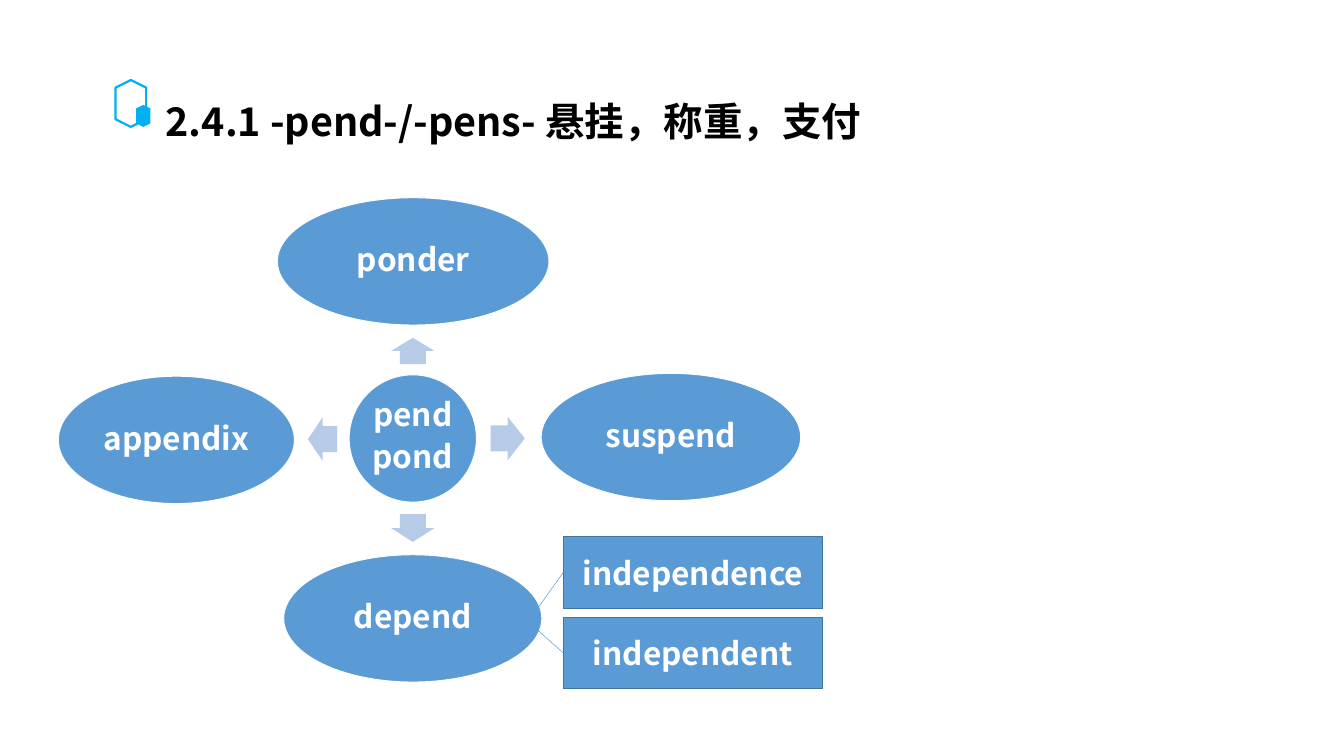
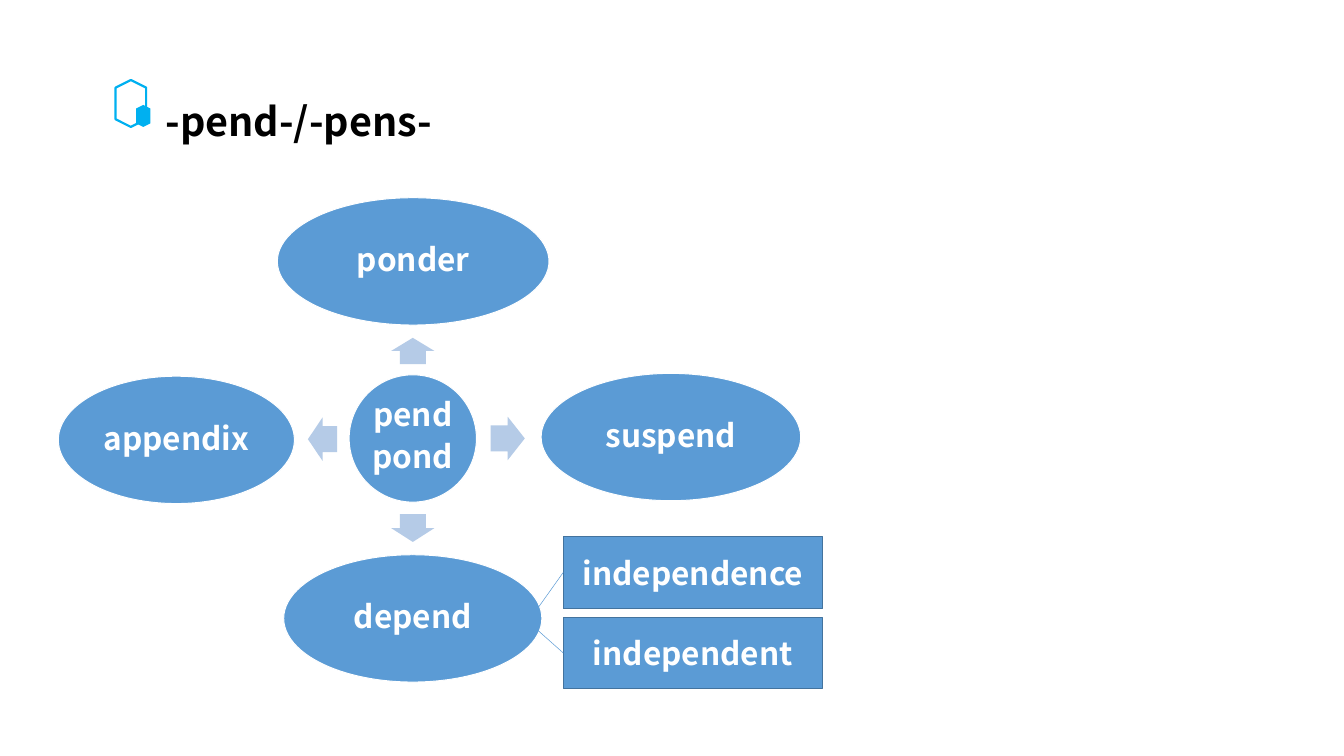
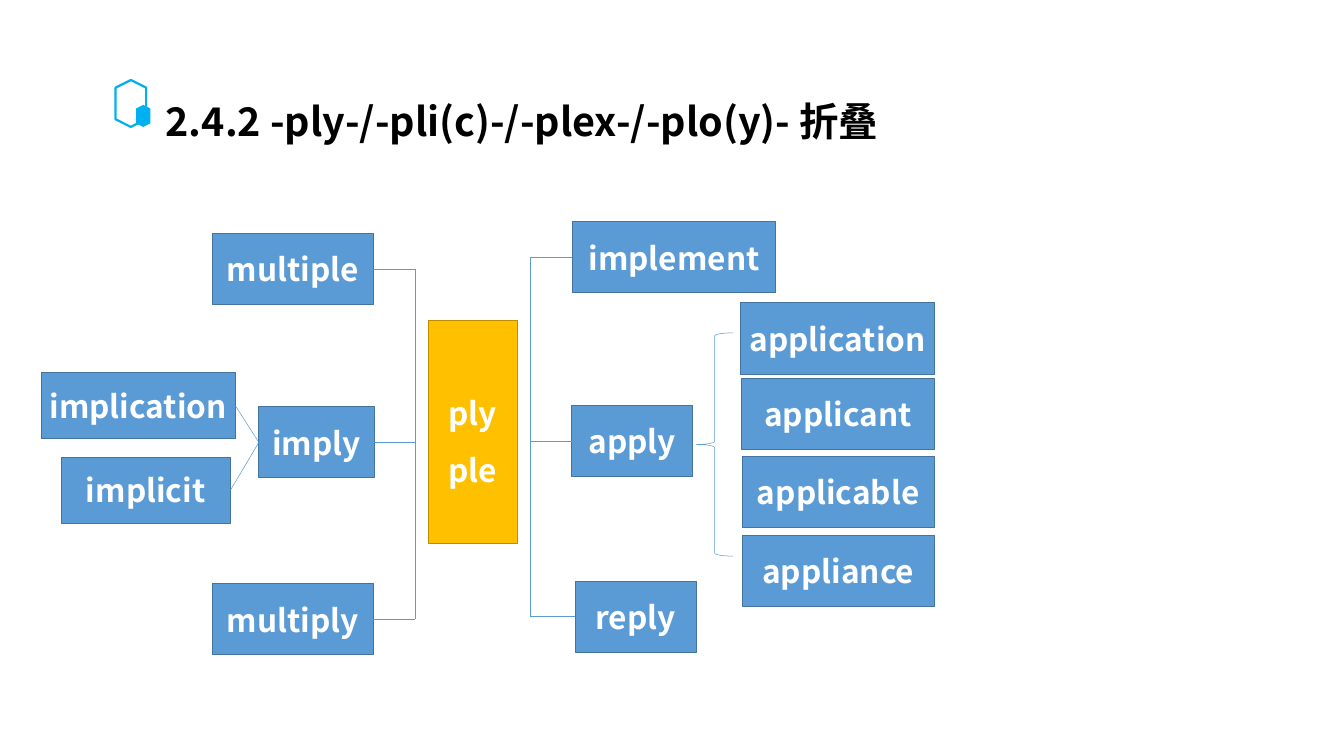
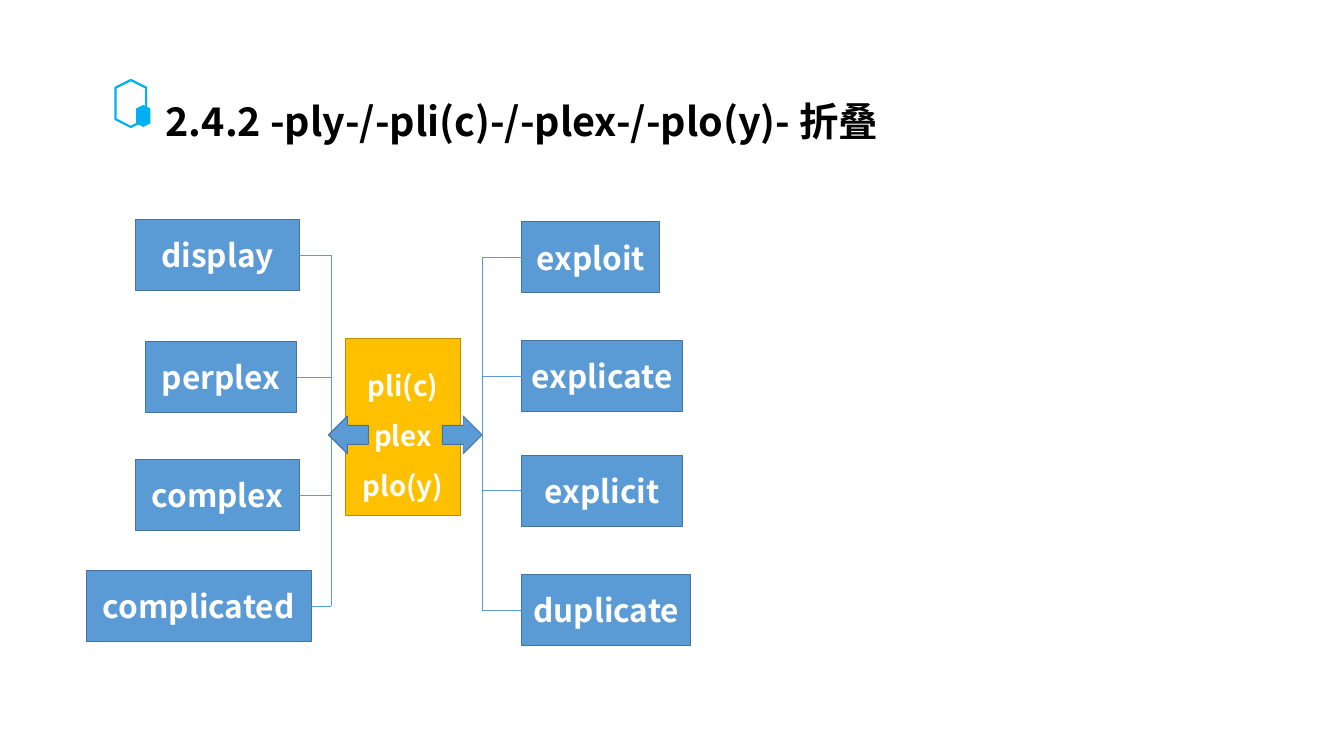
from dataclasses import dataclass

from lxml.etree import SubElement
from pptx import Presentation
from pptx.dml.color import RGBColor
from pptx.enum.shapes import MSO_CONNECTOR, MSO_SHAPE
from pptx.enum.text import MSO_ANCHOR, MSO_AUTO_SIZE, PP_ALIGN
from pptx.oxml.ns import qn
from pptx.util import Inches, Pt


@dataclass(frozen=True)
class Theme:
    font: str = "Noto Sans CJK SC"
    black: str = "000000"
    white: str = "FFFFFF"
    blue: str = "5B9BD5"
    blue_edge: str = "43739E"
    pale_blue: str = "B5CBE7"
    gold: str = "FFC000"
    gold_edge: str = "BD8E00"
    accent: str = "00B0F0"
    title_size: float = 40
    word_size: float = 32
    small_size: float = 28
    thin: float = 0.5
    edge: float = 1
    badge_line: float = 2.25


THEME = Theme()
LEFT, RIGHT = 1, 3

PEND_TITLES = ["2.4.1 -pend-/-pens- 悬挂，称重，支付", "-pend-/-pens-"]
PLY_TITLE = "2.4.2 -ply-/-pli(c)-/-plex-/-plo(y)- 折叠"

PEND_OVALS = [
    ("pend\npond", (4.91, 5.27, 1.79, 1.79), 0.8),
    ("ponder", (3.9, 2.78, 3.82, 1.79), 0.9),
    ("suspend", (7.61, 5.25, 3.65, 1.79), 0.9),
    ("depend", (3.99, 7.8, 3.63, 1.79), 0.9),
    ("appendix", (0.82, 5.29, 3.32, 1.79), 0.9),
]
PEND_ARROWS = [
    ((5.62, 4.63, 0.37, 0.61), 270),
    ((6.9, 5.86, 0.48, 0.61), 0),
    ((5.61, 7.12, 0.39, 0.61), 90),
    ((4.33, 5.87, 0.41, 0.61), 180),
]
PEND_BOXES = {
    "independence": (7.92, 7.54, 3.65, 1.02),
    "independent": (7.92, 8.68, 3.65, 1),
}
PEND_LINKS = [("independence", (7.45, 8.71)), ("independent", (7.38, 8.7))]

PLY_BOXES = {
    "multiple": (2.99, 3.28, 2.26, 1),
    "imply": (3.64, 5.72, 1.62, 1),
    "multiply": (2.99, 8.21, 2.26, 1),
    "implication": (0.58, 5.24, 2.73, 0.93),
    "implicit": (0.86, 6.43, 2.38, 0.93),
    "implement": (8.05, 3.12, 2.86, 1),
    "apply": (8.04, 5.7, 1.7, 1),
    "reply": (8.09, 8.17, 1.7, 1),
    "application": (10.42, 4.26, 2.72, 1),
    "applicant": (10.43, 5.32, 2.71, 1),
    "applicable": (10.44, 6.42, 2.7, 1),
    "appliance": (10.44, 7.53, 2.7, 1),
}
PLY_TRUNKS = [
    (5.84, RIGHT, ["multiple", "imply", "multiply"]),
    (7.46, LEFT, ["implement", "apply", "reply"]),
]
PLY_ROOT = ("ply\nple", (6.02, 4.5, 1.26, 3.14), THEME.word_size)
PLY_BRACE = (9.79, 4.68, 0.52, 3.14)

PLEX_BOXES = {
    "display": (1.91, 3.09, 2.3, 1),
    "perplex": (2.05, 4.8, 2.12, 1),
    "complex": (1.91, 6.46, 2.3, 1),
    "complicated": (1.21, 8.02, 3.17, 1),
    "exploit": (7.34, 3.12, 1.94, 1),
    "explicate": (7.34, 4.79, 2.26, 1),
    "explicit": (7.34, 6.4, 2.26, 1),
    "duplicate": (7.34, 8.08, 2.37, 1),
}
PLEX_TRUNKS = [
    (4.66, RIGHT, ["display", "perplex", "complex", "complicated"]),
    (6.78, LEFT, ["exploit", "explicate", "explicit", "duplicate"]),
]
PLEX_ROOT = ("pli(c)\nplex\nplo(y)", (4.86, 4.76, 1.61, 2.49), THEME.small_size)
PLEX_ARROWS = [
    (MSO_SHAPE.LEFT_ARROW, (4.62, 5.85, 0.56, 0.53)),
    (MSO_SHAPE.RIGHT_ARROW, (6.22, 5.85, 0.56, 0.53)),
]


def colour(code):
    return RGBColor.from_string(code)


def add_figure(slide, kind, place, fill=None, line=None, width=THEME.edge):
    figure = slide.shapes.add_shape(kind, *map(Inches, place))
    figure.shadow.inherit = False
    if fill:
        figure.fill.solid()
        figure.fill.fore_color.rgb = colour(fill)
    else:
        figure.fill.background()
    if line:
        figure.line.color.rgb = colour(line)
        figure.line.width = Pt(width)
    else:
        figure.line.fill.background()
    return figure


def write(figure, text, size, ink, align=PP_ALIGN.CENTER, spacing=1.0, after=0):
    frame = figure.text_frame
    frame.text = text
    for para in frame.paragraphs:
        para.alignment = align
        para.line_spacing = spacing
        para.space_after = Pt(after)
        for span in para.runs:
            span.font.size = Pt(size)
            span.font.bold = True
            span.font.color.rgb = colour(ink)
            span.font.name = THEME.font
            east_asian = SubElement(span.font._element, qn("a:ea"))
            east_asian.set("typeface", THEME.font)
    return frame


def add_line(slide, start, end):
    points = map(Inches, (*start, *end))
    line = slide.shapes.add_connector(MSO_CONNECTOR.STRAIGHT, *points)
    line.line.color.rgb = colour(THEME.blue)
    line.line.width = Pt(THEME.thin)
    SubElement(line._element.spPr, qn("a:effectLst"))
    return line


def add_boxes(slide, places):
    boxes = {}
    for word, place in places.items():
        box = add_figure(slide, MSO_SHAPE.RECTANGLE, place, THEME.blue, THEME.blue_edge)
        frame = write(box, word, THEME.word_size, THEME.white)
        frame.vertical_anchor = MSO_ANCHOR.MIDDLE
        boxes[word] = box
    return boxes


def side_middle(place, side):
    left, top, width, height = place
    return left + (width if side == RIGHT else 0), top + height / 2


def add_trunks(slide, trunks, places, boxes):
    for x, side, words in trunks:
        levels = [side_middle(places[word], side)[1] for word in words]
        add_line(slide, (x, levels[0]), (x, levels[-1]))
        for word, y in zip(words, levels):
            stub = add_line(slide, side_middle(places[word], side), (x, y))
            stub.begin_connect(boxes[word], side)


def add_root(slide, text, place, size):
    root = add_figure(slide, MSO_SHAPE.RECTANGLE, place, THEME.gold, THEME.gold_edge)
    frame = write(root, text, size, THEME.white, spacing=1.5)
    frame.vertical_anchor = MSO_ANCHOR.MIDDLE


def add_page(deck, heading):
    slide = deck.slides.add_slide(deck.slide_layouts[5])
    outline = add_figure(slide, MSO_SHAPE.HEXAGON, (1.51, 1.24, 0.66, 0.43),
                         line=THEME.accent, width=THEME.badge_line)
    dot = add_figure(slide, MSO_SHAPE.HEXAGON, (1.86, 1.53, 0.31, 0.2), THEME.accent)
    outline.rotation = dot.rotation = 90
    title = slide.shapes.title
    title.left, title.top, title.width, title.height = map(Inches, (2.23, 1.32, 12, 0.77))
    frame = write(title, heading, THEME.title_size, THEME.black, PP_ALIGN.LEFT)
    frame.vertical_anchor = MSO_ANCHOR.TOP
    frame.auto_size = MSO_AUTO_SIZE.NONE
    frame.word_wrap = True
    return slide


def add_pend_page(deck, heading):
    slide = add_page(deck, heading)
    for text, place, spacing in PEND_OVALS:
        oval = add_figure(slide, MSO_SHAPE.OVAL, place, THEME.blue, THEME.white)
        frame = write(oval, text, THEME.word_size, THEME.white,
                      spacing=spacing, after=0.35 * THEME.word_size)
        frame.vertical_anchor = MSO_ANCHOR.MIDDLE
        frame.margin_left = frame.margin_right = Inches(0.04)
        frame.margin_top = frame.margin_bottom = Inches(0.04)
    for place, angle in PEND_ARROWS:
        arrow = add_figure(slide, MSO_SHAPE.RIGHT_ARROW, place, THEME.pale_blue)
        arrow.adjustments[0] = 0.6
        arrow.adjustments[1] = 0.5
        arrow.rotation = angle
    boxes = add_boxes(slide, PEND_BOXES)
    for word, start in PEND_LINKS:
        link = add_line(slide, start, side_middle(PEND_BOXES[word], LEFT))
        link.end_connect(boxes[word], LEFT)


def add_ply_page(deck):
    slide = add_page(deck, PLY_TITLE)
    boxes = add_boxes(slide, PLY_BOXES)
    add_trunks(slide, PLY_TRUNKS, PLY_BOXES, boxes)
    for word in ("implication", "implicit"):
        link = add_line(slide, side_middle(PLY_BOXES[word], RIGHT),
                        side_middle(PLY_BOXES["imply"], LEFT))
        link.begin_connect(boxes[word], RIGHT)
        link.end_connect(boxes["imply"], LEFT)
    add_root(slide, *PLY_ROOT)
    add_figure(slide, MSO_SHAPE.LEFT_BRACE, PLY_BRACE, line=THEME.blue, width=THEME.thin)


def add_plex_page(deck):
    slide = add_page(deck, PLY_TITLE)
    boxes = add_boxes(slide, PLEX_BOXES)
    add_trunks(slide, PLEX_TRUNKS, PLEX_BOXES, boxes)
    add_root(slide, *PLEX_ROOT)
    for kind, place in PLEX_ARROWS:
        add_figure(slide, kind, place, THEME.blue, THEME.blue_edge)


def main():
    deck = Presentation()
    deck.slide_width, deck.slide_height = Inches(18.9), Inches(10.63)
    for heading in PEND_TITLES:
        add_pend_page(deck, heading)
    add_ply_page(deck)
    add_plex_page(deck)
    deck.save("out.pptx")


if __name__ == "__main__":
    main()
